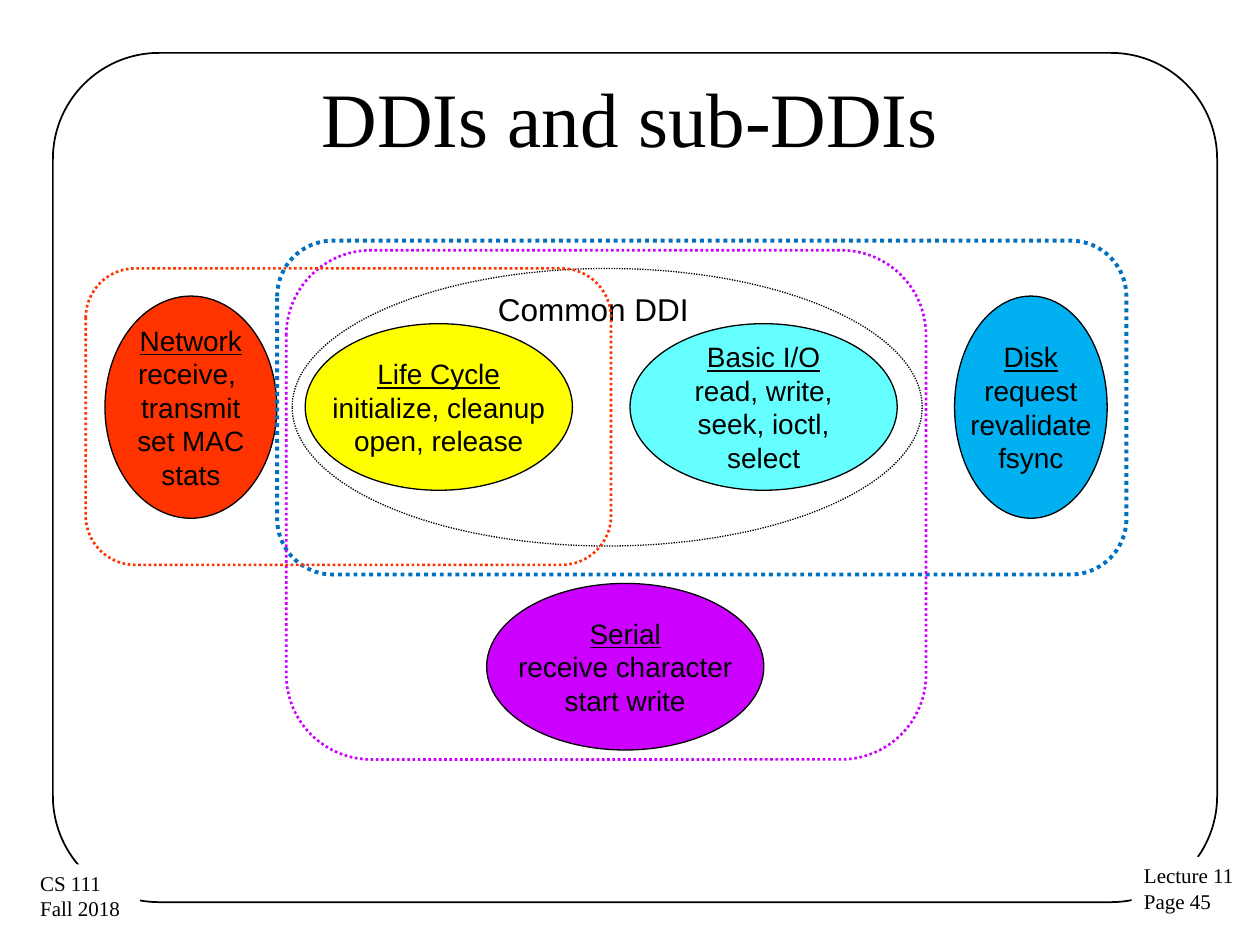
"""Build the slide showing device driver interfaces and their overlapping subsets."""
import dataclasses

import pptx
import pptx.dml.color
import pptx.enum.dml
import pptx.enum.shapes
import pptx.enum.text
import pptx.util

Pt = pptx.util.Pt
Shapes = pptx.enum.shapes.MSO_SHAPE
Align = pptx.enum.text.PP_ALIGN
Anchor = pptx.enum.text.MSO_ANCHOR


@dataclasses.dataclass(frozen=True)
class Theme:
    black: str = "000000"
    white: str = "FFFFFF"
    yellow: str = "FFFF00"
    aqua: str = "66FFFF"
    red: str = "FF3300"
    purple: str = "CC00FF"
    sky: str = "00B0F0"
    blue: str = "0070C0"
    serif: str = "Times New Roman"
    sans: str = "Arial"
    title_size: float = 44
    label_size: float = 18
    oval_size: float = 16
    footer_size: float = 12


theme = Theme()


def add_outline(slide, kind, box, fill=None, line=None, width=0.75, dotted=False):
    shape = slide.shapes.add_shape(kind, *[Pt(length) for length in box])
    shape.shadow.inherit = False
    if fill:
        shape.fill.solid()
        shape.fill.fore_color.rgb = pptx.dml.color.RGBColor.from_string(fill)
    else:
        shape.fill.background()
    if line:
        shape.line.color.rgb = pptx.dml.color.RGBColor.from_string(line)
        shape.line.width = Pt(width)
        if dotted:
            shape.line.dash_style = pptx.enum.dml.MSO_LINE.ROUND_DOT
    else:
        shape.line.fill.background()
    return shape


def write_lines(shape, lines, font, size, align, anchor, margins, wrap=False, underline_first=False):
    frame = shape.text_frame
    frame.word_wrap = wrap
    frame.auto_size = pptx.enum.text.MSO_AUTO_SIZE.NONE
    frame.vertical_anchor = anchor
    frame.margin_left = frame.margin_right = Pt(margins[0])
    frame.margin_top = frame.margin_bottom = Pt(margins[1])
    for index, line in enumerate(lines):
        paragraph = frame.add_paragraph() if index else frame.paragraphs[0]
        paragraph.alignment = align
        run = paragraph.add_run()
        run.text = line
        run.font.name = font
        run.font.size = Pt(size)
        run.font.color.rgb = pptx.dml.color.RGBColor.from_string(theme.black)
        if underline_first and index == 0:
            run.font.underline = True


presentation = pptx.Presentation()
presentation.slide_width = Pt(720)
presentation.slide_height = Pt(540)
slide = presentation.slides.add_slide(presentation.slide_layouts[5])

page_frame = add_outline(slide, Shapes.ROUNDED_RECTANGLE, (30.24, 30.24, 665.3, 485.3), line=theme.black, width=1)
page_frame.adjustments[0] = 0.125

footers = [
    ((646.6, 489.6, 66.2, 36.7), ["Lecture 11", "Page 45"]),
    ((15.84, 493.9, 64.1, 36.7), ["CS 111", "Fall 2018"]),
]
for box, lines in footers:
    footer = add_outline(slide, Shapes.RECTANGLE, box, fill=theme.white)
    write_lines(footer, lines, theme.serif, theme.footer_size, Align.LEFT, Anchor.TOP, (7.2, 3.6))

title = slide.shapes.title
title.left, title.top, title.width, title.height = Pt(36), Pt(21.6), Pt(648), Pt(90)
write_lines(title, ["DDIs and sub-DDIs"], theme.serif, theme.title_size, Align.CENTER, Anchor.MIDDLE,
            (7.2, 3.6), wrap=True)

ovals = [
    ((360, 185, 152.7, 95.2), theme.aqua, ["Basic I/O", "read, write,", "seek, ioctl,", "select"]),
    ((174.4, 185, 152.7, 95.2), theme.yellow, ["Life Cycle", "initialize, cleanup", "open, release"]),
    ((545.5, 169.2, 87.2, 127), theme.sky, ["Disk", "request", "revalidate", "fsync"]),
    ((60, 169.2, 98.2, 127), theme.red, ["Network", "receive, ", "transmit", "set MAC", "stats"]),
    ((278.1, 333.4, 158.4, 95.2), theme.purple, ["Serial", "receive character", "start write"]),
]
for box, fill, lines in ovals:
    oval = add_outline(slide, Shapes.OVAL, box, fill=fill, line=theme.black)
    write_lines(oval, lines, theme.sans, theme.oval_size, Align.CENTER, Anchor.MIDDLE, (6.5, 3.2),
                underline_first=True)

add_outline(slide, Shapes.OVAL, (167, 153.4, 360, 158.6), line=theme.black, dotted=True)
common_label = slide.shapes.add_textbox(Pt(278), Pt(162.7), Pt(147.6), Pt(28))
write_lines(common_label, ["Common DDI"], theme.sans, theme.label_size, Align.LEFT, Anchor.TOP,
            (6.5, 3.2), wrap=True)

driver_regions = [
    ((158.4, 137.5, 485.3, 190.8), theme.blue, 2.25),
    ((163.6, 143, 365.6, 291), theme.purple, 1.5),
    ((49, 153.4, 300.2, 169.4), theme.red, 1.5),
]
for box, color, width in driver_regions:
    region = add_outline(slide, Shapes.ROUNDED_RECTANGLE, box, line=color, width=width, dotted=True)
    region.adjustments[0] = 0.167

presentation.save("out.pptx")
